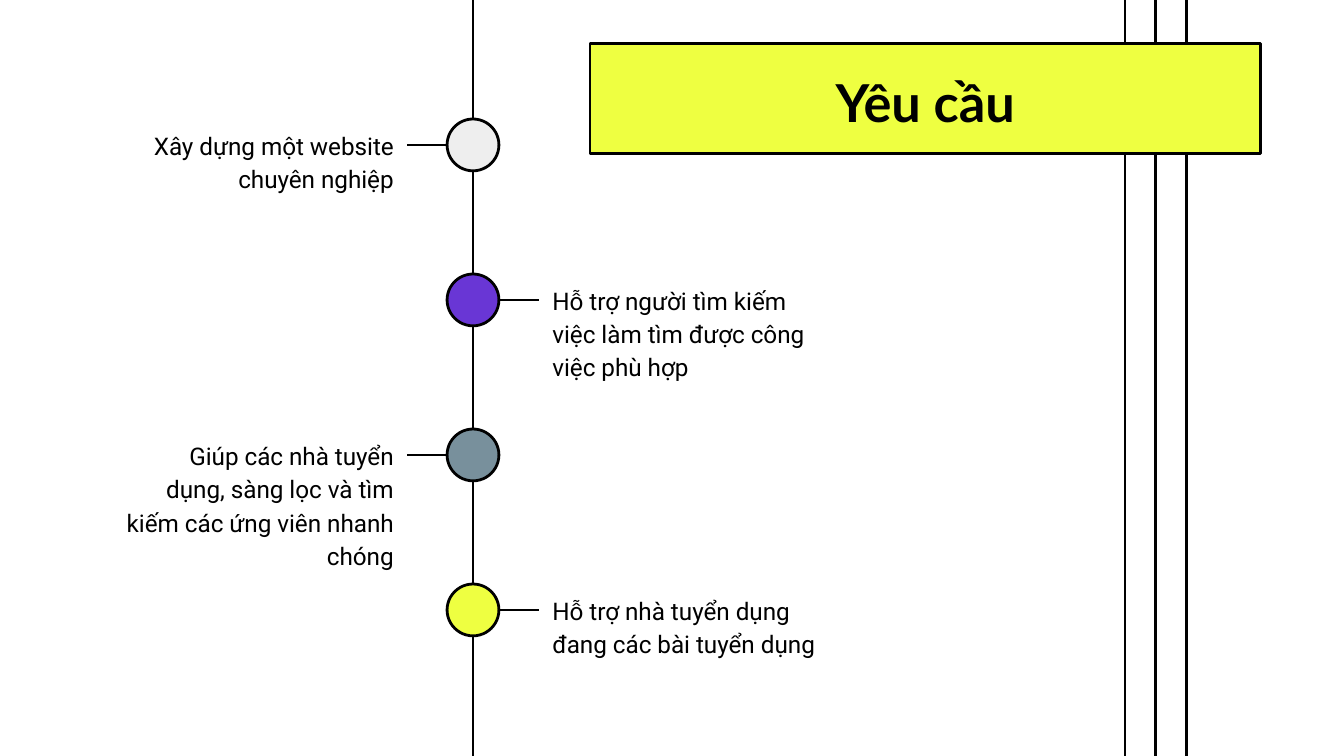
"""Build a timeline slide that lists the requirements of a recruitment website."""
from lxml import etree
from pptx import Presentation
from pptx.dml.color import RGBColor
from pptx.enum.shapes import MSO_CONNECTOR, MSO_SHAPE
from pptx.enum.text import MSO_ANCHOR, MSO_AUTO_SIZE, PP_ALIGN
from pptx.oxml.ns import qn
from pptx.util import Cm, Pt

STRAIGHT = MSO_CONNECTOR.STRAIGHT
RECTANGLE, OVAL = MSO_SHAPE.RECTANGLE, MSO_SHAPE.OVAL
TOP, NO_FIT = MSO_ANCHOR.TOP, MSO_AUTO_SIZE.NONE
LEFT, CENTER, RIGHT = PP_ALIGN.LEFT, PP_ALIGN.CENTER, PP_ALIGN.RIGHT

BLACK, YELLOW = "000000", "EEFF41"
PAGE_WIDTH, PAGE_HEIGHT = 25.4, 14.29
LINE_WIDTH = 1.5
AXIS_X, FIRST_Y, STEP_Y = 8.94, 2.74, 2.93
RADIUS, STEM = 0.49, 0.76
NOTE_WIDTH, NOTE_HEIGHT, NOTE_RISE = 5.56, 1.85, 0.6
STRIPE_X, STRIPE_GAP, STRIPE_COUNT = 21.26, 0.58, 3

MILESTONES = [
    ("EEEEEE", "Xây dựng một website chuyên nghiệp"),
    ("6936D5", "Hỗ trợ người tìm kiếm việc làm tìm được công việc phù hợp"),
    ("78909C", "Giúp các nhà tuyển dụng, sàng lọc và tìm kiếm các ứng viên nhanh chóng"),
    (YELLOW, "Hỗ trợ nhà tuyển dụng đang các bài tuyển dụng"),
]


def color(value):
    """Turn a hex string into a colour."""
    return RGBColor.from_string(value)


def style_line(line):
    """Give a line or an outline the black stroke of the slide."""
    line.color.rgb = color(BLACK)
    line.width = Pt(LINE_WIDTH)


def add_line(page, x1, y1, x2, y2):
    """Draw a straight line without a shadow."""
    line = page.shapes.add_connector(STRAIGHT, Cm(x1), Cm(y1), Cm(x2), Cm(y2))
    style_line(line.line)
    properties = line.element.find(qn("p:spPr"))
    etree.SubElement(properties, qn("a:effectLst"))


def add_figure(page, kind, left, top, width, height, fill):
    """Draw an outlined shape with a plain fill."""
    figure = page.shapes.add_shape(kind, Cm(left), Cm(top), Cm(width), Cm(height))
    figure.shadow.inherit = False
    figure.fill.solid()
    figure.fill.fore_color.rgb = color(fill)
    style_line(figure.line)
    return figure


def write(box, text, font_name, size, alignment, bold=False, spacing=1.0, after=0):
    """Fill a text holder with one formatted paragraph."""
    frame = box.text_frame
    frame.text = text
    frame.word_wrap = True
    frame.auto_size = NO_FIT
    frame.vertical_anchor = TOP
    frame.margin_left = frame.margin_right = Cm(0.25)
    frame.margin_top = frame.margin_bottom = Cm(0.25)
    para = frame.paragraphs[0]
    para.alignment = alignment
    para.line_spacing = spacing
    para.space_before = Pt(0)
    para.space_after = Pt(after)
    font = para.runs[0].font
    font.name, font.size, font.bold = font_name, Pt(size), bold
    font.color.rgb = color(BLACK)


def add_title(page, text):
    """Place the title over its yellow banner."""
    banner = add_figure(page, RECTANGLE, 11.15, 0.83, 12.67, 2.08, YELLOW)
    title = page.shapes.title
    title.left, title.top = Cm(12.06), Cm(1.07)
    title.width, title.height = Cm(10.85), Cm(1.6)
    write(title, text, "Lato", 28, CENTER, bold=True)
    banner.element.addnext(title.element)


def add_milestone(page, y, fill, text, side):
    """Draw a circle on the axis with its stem and note; side is -1 left or 1 right."""
    add_figure(page, OVAL, AXIS_X - RADIUS, y - RADIUS, 2 * RADIUS, 2 * RADIUS, fill)
    stem_end = AXIS_X + side * (RADIUS + STEM)
    add_line(page, AXIS_X + side * RADIUS, y, stem_end, y)
    left = stem_end if side > 0 else stem_end - NOTE_WIDTH
    box = page.shapes.add_textbox(
        Cm(left), Cm(y - NOTE_RISE), Cm(NOTE_WIDTH), Cm(NOTE_HEIGHT))
    alignment = LEFT if side > 0 else RIGHT
    write(box, text, "Roboto", 13, alignment, spacing=1.15, after=16)


def main():
    """Build and save the slide."""
    deck = Presentation()
    deck.slide_width, deck.slide_height = Cm(PAGE_WIDTH), Cm(PAGE_HEIGHT)
    page = deck.slides.add_slide(deck.slide_layouts[5])
    for index in range(STRIPE_COUNT):
        x = STRIPE_X + index * STRIPE_GAP
        add_line(page, x, 0, x, PAGE_HEIGHT)
    add_title(page, "Yêu cầu")
    add_line(page, AXIS_X, 0, AXIS_X, PAGE_HEIGHT)
    for index, (fill, text) in enumerate(MILESTONES):
        side = 1 if index % 2 else -1
        add_milestone(page, FIRST_Y + index * STEP_Y, fill, text, side)
    deck.save("out.pptx")


if __name__ == "__main__":
    main()
